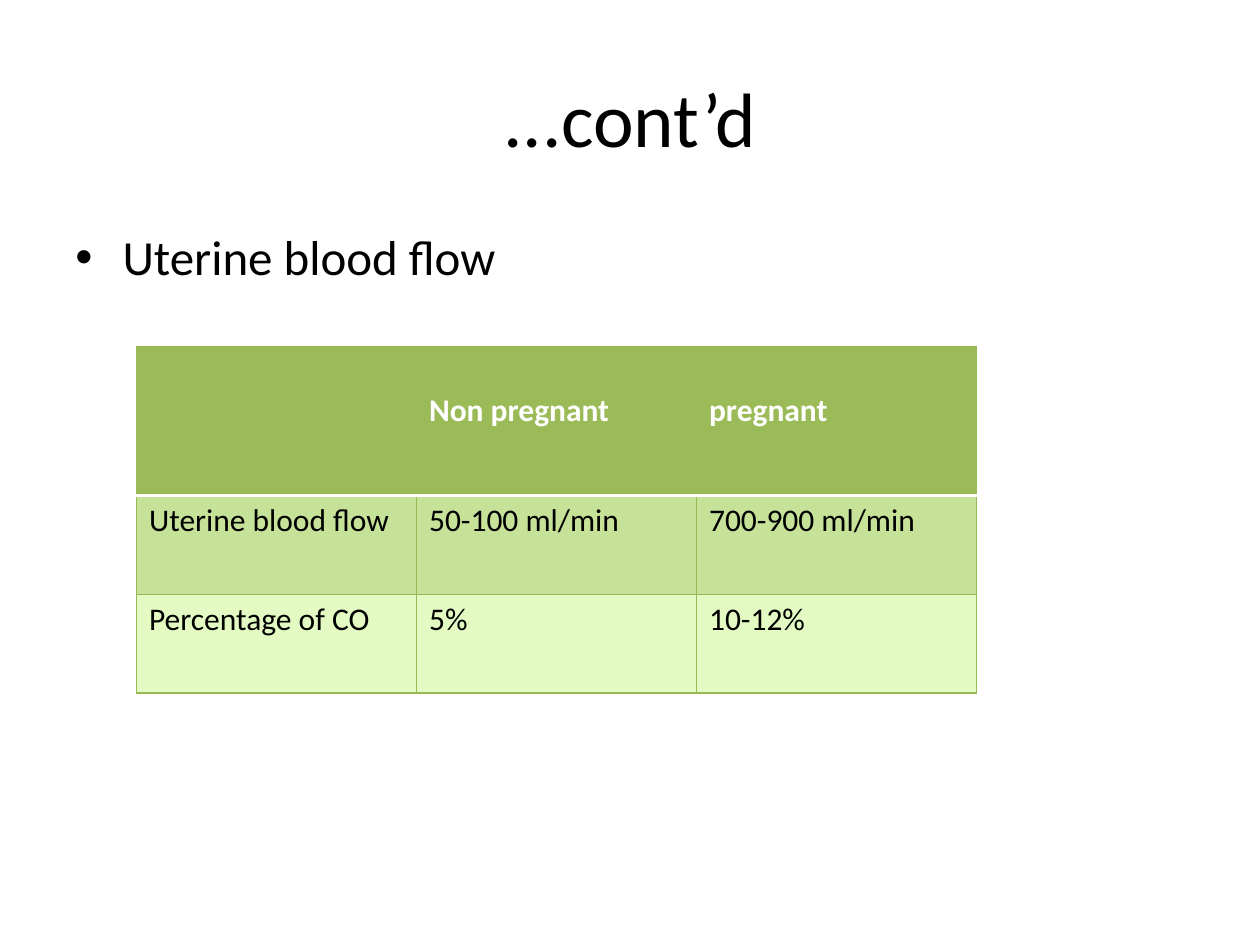
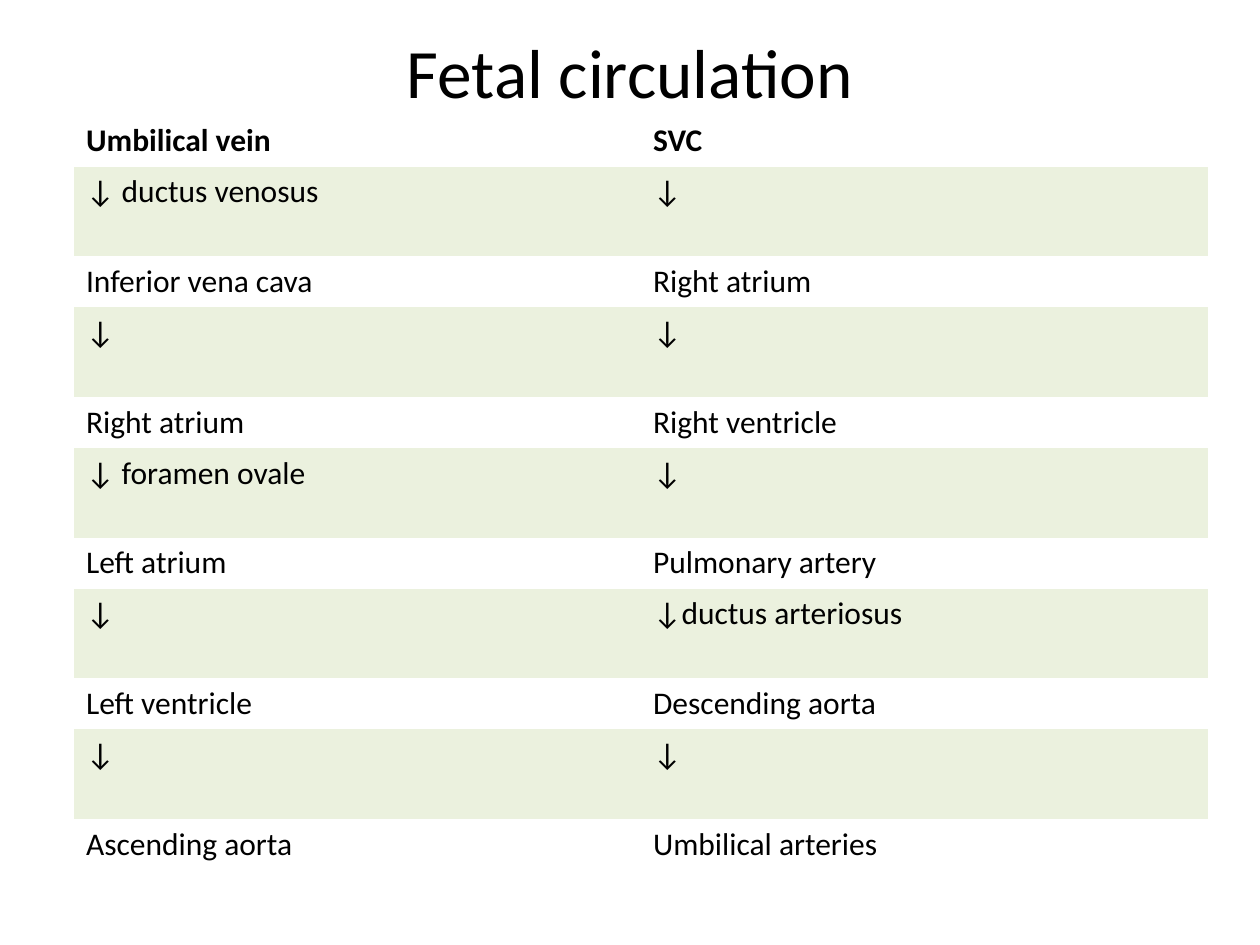
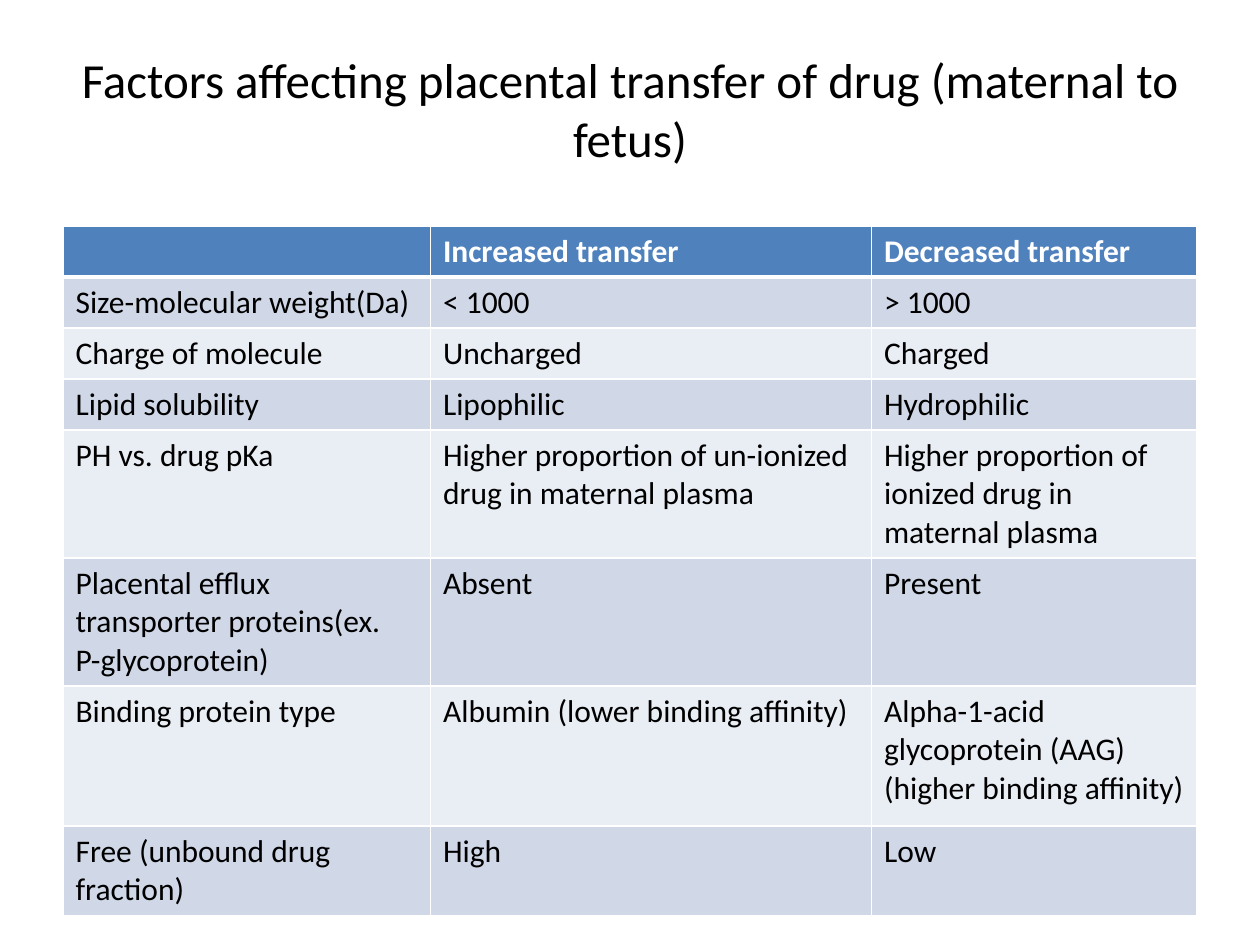
from pptx import Presentation
from pptx.dml.color import RGBColor as RGB
from pptx.enum.text import MSO_ANCHOR as ANCHOR, PP_ALIGN as ALIGN
from pptx.oxml.ns import qn
from pptx.util import Pt
from lxml.etree import SubElement

FONT = "Calibri"
COLORS = {
    "text": "000000", "white": "FFFFFF",
    "green": "9BBB59", "green_line": "98B955",
    "green_mid": "C6E198", "green_light": "E3FBC2", "green_pale": "EBF1DE",
    "blue": "4F81BD", "blue_mid": "D0D8E8", "blue_light": "E9EDF4",
}
LEFT, WIDTH = 36, 648

FLOW_ROWS = [
    ("", "Non pregnant", "pregnant"),
    ("Uterine blood flow", "50-100 ml/min", "700-900 ml/min"),
    ("Percentage of CO", "5%", "10-12%"),
]
CIRCULATION_ROWS = [
    ("Umbilical vein", "SVC"),
    ("↓ ductus venosus", "↓"),
    ("Inferior vena cava", "Right atrium"),
    ("↓", "↓"),
    ("Right atrium", "Right ventricle"),
    ("↓ foramen ovale", "↓"),
    ("Left atrium", "Pulmonary artery"),
    ("↓", "↓ductus arteriosus"),
    ("Left ventricle", "Descending aorta"),
    ("↓", "↓"),
    ("Ascending aorta", "Umbilical arteries"),
]
TRANSFER_ROWS = [
    ("", "Increased transfer", "Decreased transfer"),
    ("Size-molecular weight(Da)", "< 1000", "> 1000"),
    ("Charge of molecule", "Uncharged", "Charged"),
    ("Lipid solubility", "Lipophilic", "Hydrophilic"),
    ("PH vs. drug pKa", "Higher proportion of un-ionized drug in maternal plasma",
     "Higher proportion of ionized drug in maternal plasma"),
    ("Placental efflux transporter proteins(ex.\vP-glycoprotein)", "Absent", "Present"),
    ("Binding protein type", "Albumin (lower binding affinity)",
     "Alpha-1-acid glycoprotein (AAG)\n(higher binding affinity)"),
    ("Free (unbound drug fraction)", "High", "Low"),
]


def rgb(name):
    return RGB.from_string(COLORS[name])


def style_runs(tf, size, color="text", bold=False):
    for p in tf.paragraphs:
        for r in p.runs:
            r.font.name, r.font.size, r.font.bold = FONT, Pt(size), bold
            r.font.color.rgb = rgb(color)


def add_text(s, text, top, height, size):
    tf = s.shapes.add_textbox(Pt(LEFT), Pt(top), Pt(WIDTH), Pt(height)).text_frame
    tf.word_wrap = True
    tf.text = text
    style_runs(tf, size)
    return tf


def add_title(s, text, height, size):
    tf = add_text(s, text, 21.6, height, size)
    tf.vertical_anchor = ANCHOR.MIDDLE
    tf.paragraphs[0].alignment = ALIGN.CENTER


def add_bullet(s, text, top, height, size):
    tf = add_text(s, text, top, height, size)
    pPr = tf.paragraphs[0]._p.get_or_add_pPr()
    pPr.set("marL", str(Pt(27)))
    pPr.set("indent", str(-Pt(27)))
    SubElement(pPr, qn("a:buFont"), typeface="Arial")
    SubElement(pPr, qn("a:buChar"), char="•")


def set_border(cell, side, line):
    """Draw one cell edge; line is (colour, width), or None for no edge."""
    tcPr = cell._tc.get_or_add_tcPr()
    ln = SubElement(tcPr, qn(f"a:ln{side}"))
    if line:
        color, width = line
        ln.set("w", str(Pt(width)))
        fill = SubElement(ln, qn("a:solidFill"))
        SubElement(fill, qn("a:srgbClr"), val=COLORS[color])
    else:
        SubElement(ln, qn("a:noFill"))


def add_table(s, rows, left, top, widths, heights, header, bands,
              header_color="white", line=None, rule=None, header_inset=3.6):
    """Add a table with a bold header row and alternating body bands."""
    tbl = s.shapes.add_table(len(rows), len(widths), Pt(left), Pt(top),
                             Pt(sum(widths)), Pt(sum(heights))).table
    tbl.first_row = tbl.horz_banding = False
    for col, width in zip(tbl.columns, widths):
        col.width = Pt(width)
    for i, (texts, height) in enumerate(zip(rows, heights)):
        tbl.rows[i].height = Pt(height)
        color = header if i == 0 else bands[(i - 1) % 2]
        for j, text in enumerate(texts):
            cell = tbl.cell(i, j)
            # Borders, with a heavier rule under the header
            edges = {"L": line, "R": line,
                     "T": rule if i == 1 else line,
                     "B": rule if i == 0 else line}
            for side, edge in edges.items():
                set_border(cell, side, edge)
            # Fill
            if color:
                cell.fill.solid()
                cell.fill.fore_color.rgb = rgb(color)
            else:
                cell.fill.background()
            # Text
            cell.text_frame.text = text
            if i == 0:
                cell.margin_top = Pt(header_inset)
                style_runs(cell.text_frame, 18, header_color, True)
            else:
                style_runs(cell.text_frame, 18)


def add_slide(prs):
    return prs.slides.add_slide(prs.slide_layouts[6])


def main():
    prs = Presentation()
    prs.slide_width, prs.slide_height = Pt(720), Pt(540)

    # Uterine blood flow
    s = add_slide(prs)
    add_title(s, "...cont’d", 90, 44)
    add_bullet(s, "Uterine blood flow", 126, 356.4, 28)
    add_table(s, FLOW_ROWS, 78, 198, [160] * 3, [85, 56.5, 56.5],
              "green", ("green_mid", "green_light"),
              line=("green_line", 0.75), rule=("white", 2), header_inset=25.6)

    # Fetal circulation: names alternate with arrows
    s = add_slide(prs)
    add_title(s, "Fetal circulation", 38, 39.6)
    heights = [51.2 if i % 2 else 29.2 for i in range(len(CIRCULATION_ROWS))]
    add_table(s, CIRCULATION_ROWS, 42, 66, [324] * 2, heights,
              None, ("green_pale", None), header_color="text")

    # Placental drug transfer
    s = add_slide(prs)
    add_title(s, "Factors affecting placental transfer of drug (maternal to fetus)", 81, 28)
    add_table(s, TRANSFER_ROWS, LEFT, 129, [210, 252, 186],
              [29.2] * 4 + [73.1, 73.1, 80, 51.1],
              "blue", ("blue_mid", "blue_light"),
              line=("white", 1), rule=("white", 3))

    prs.save("out.pptx")


if __name__ == "__main__":
    main()
